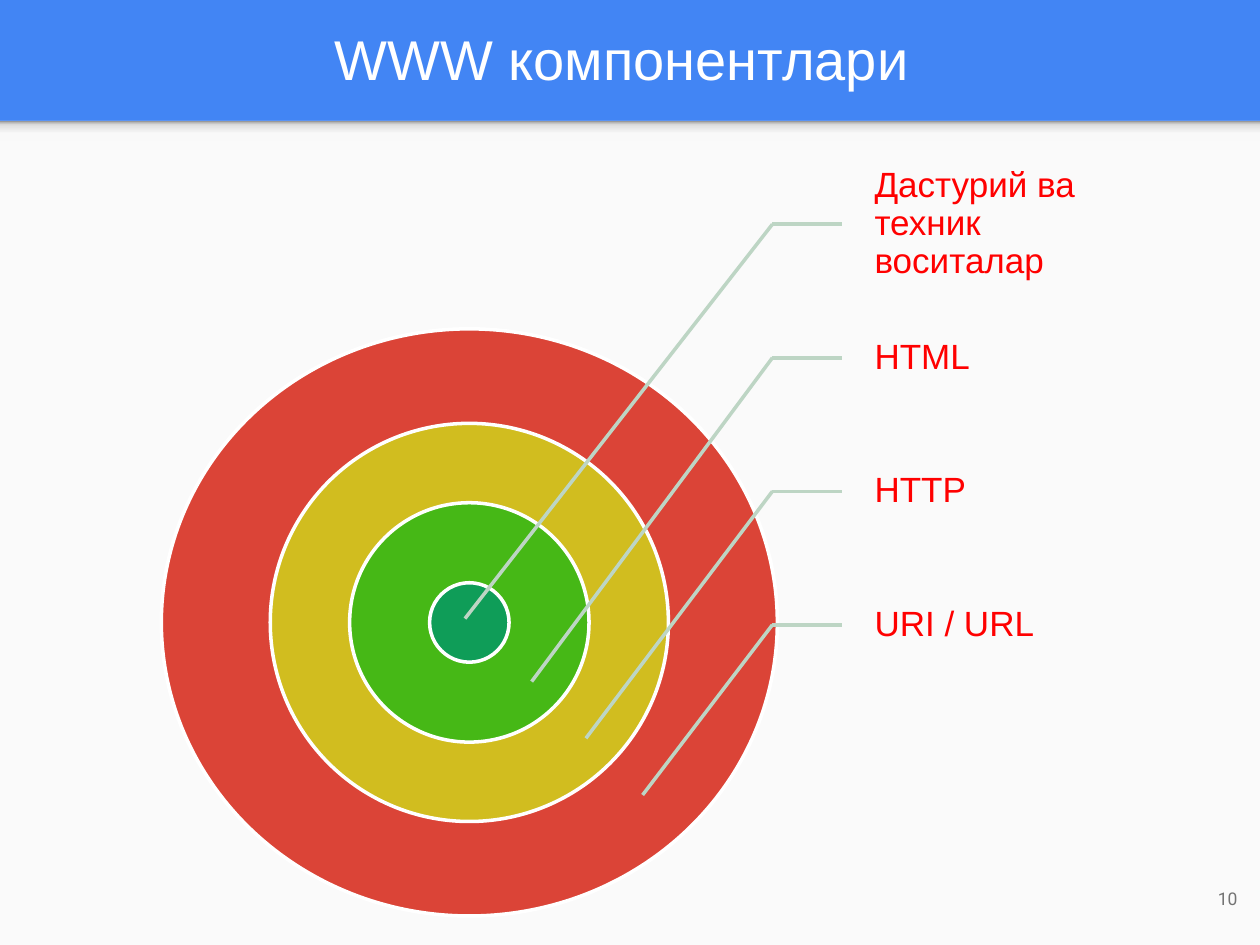
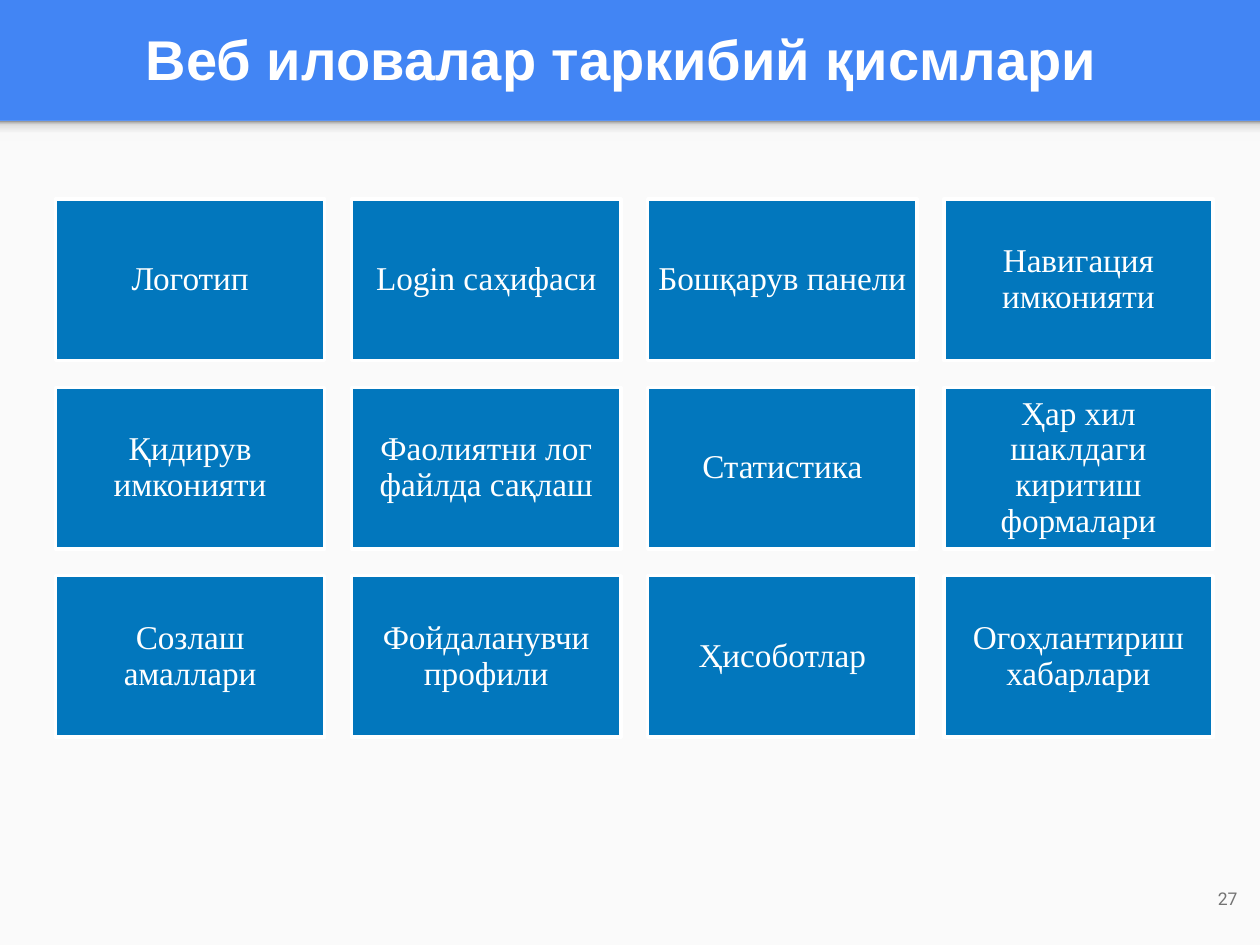
from copy import deepcopy

from lxml import etree
from pptx import Presentation
from pptx.dml.color import RGBColor
from pptx.enum.shapes import MSO_CONNECTOR, MSO_SHAPE
from pptx.enum.text import MSO_ANCHOR, MSO_AUTO_SIZE, PP_ALIGN
from pptx.oxml.ns import qn
from pptx.util import Pt

RECT = MSO_SHAPE.RECTANGLE
OVAL = MSO_SHAPE.OVAL
STRAIGHT = MSO_CONNECTOR.STRAIGHT
MIDDLE = MSO_ANCHOR.MIDDLE
NO_AUTOFIT = MSO_AUTO_SIZE.NONE
LEFT, CENTER, RIGHT = PP_ALIGN.LEFT, PP_ALIGN.CENTER, PP_ALIGN.RIGHT

COLORS = {
    "header": "4285F4", "page": "FAFAFA", "white": "FFFFFF",
    "number": "737373", "label": "FF0000", "leader": "BDD5C4",
    "uri": "DB4437", "http": "D1BD1F", "html": "46B816", "tools": "0F9D58",
    "card": "0277BD",
}
SHADE = [(0, "F9F9F9"), (0.36, "F9F9F9"), (0.8, "DEDEDE"), (1, "999999")]
PAGE_TOP = 69.1


def add_block(slide, kind, left, top, width, height, fill, outline=None):
    block = slide.shapes.add_shape(kind, Pt(left), Pt(top), Pt(width), Pt(height))
    block.shadow.inherit = False
    block.fill.solid()
    block.fill.fore_color.rgb = RGBColor.from_string(COLORS[fill])
    if outline:
        block.line.color.rgb = RGBColor.from_string(COLORS[outline])
        block.line.width = Pt(2)
    else:
        block.line.fill.background()
    return block


def write(shape, text, size, font, color, align, inset, left_inset=None, spacing=1, bold=False):
    frame = shape.text_frame
    frame.word_wrap = True
    frame.auto_size = NO_AUTOFIT
    frame.vertical_anchor = MIDDLE
    frame.margin_left = Pt(left_inset or inset)
    frame.margin_right = frame.margin_top = frame.margin_bottom = Pt(inset)
    paragraph = frame.paragraphs[0]
    paragraph.alignment = align
    paragraph.line_spacing = spacing
    run = paragraph.add_run()
    run.text = text
    run.font.size = Pt(size)
    run.font.name = font
    run.font.bold = bold
    run.font.color.rgb = RGBColor.from_string(COLORS[color])


prs = Presentation()
prs.slide_width, prs.slide_height = Pt(720), Pt(540)
master_fill = prs.slide_master.background.fill
master_fill.solid()
master_fill.fore_color.rgb = RGBColor.from_string(COLORS["header"])

slides = []
for heading, number, bold in [
    ("WWW компонентлари", "10", False),
    ("Веб иловалар таркибий қисмлари", "27", True),
]:
    slide = prs.slides.add_slide(prs.slide_layouts[5])
    slides.append(slide)
    add_block(slide, RECT, 0, PAGE_TOP, 720, 540 - PAGE_TOP, "page")

    header_shade = add_block(slide, RECT, 0, PAGE_TOP, 720, 11.5, "page")
    header_shade.fill.gradient()
    header_shade.fill.gradient_angle = 90
    stops = header_shade.element.spPr.find(qn("a:gradFill")).find(qn("a:gsLst"))
    for _ in range(len(SHADE) - len(stops)):
        stops.append(deepcopy(stops[0]))
    for stop, (position, shade) in zip(header_shade.fill.gradient_stops, SHADE):
        stop.position = position
        stop.color.rgb = RGBColor.from_string(shade)

    title = slide.shapes.title
    title.left, title.top, title.width, title.height = Pt(7.9), Pt(1.4), Pt(694.8), Pt(63.4)
    write(title, heading, 32, "Arial", "white", CENTER, 7.2, bold=bold)
    page_number = slide.shapes.add_textbox(Pt(671), Pt(493.2), Pt(43.2), Pt(41))
    write(page_number, number, 10, "Roboto", "number", RIGHT, 7.2)

components, app_parts = slides

CENTER_X, CENTER_Y = 268.2, 355.7
for ring, width, height in [
    ("uri", 352, 335.5),
    ("http", 227.5, 227.5),
    ("html", 136.8, 136.8),
    ("tools", 45.4, 45.4),
]:
    add_block(components, OVAL, CENTER_X - width / 2, CENTER_Y - height / 2,
              width, height, ring, "white")

LABEL_HEIGHT = 76.3
ELBOW_X = 441.4
for row, (label, ring_x, ring_y) in enumerate([
    ("Дастурий ва техник воситалар", 265.7, 353.5),
    ("HTML", 303.8, 389.5),
    ("HTTP", 334.8, 421.9),
    ("URI / URL", 367.2, 454.3),
]):
    label_top = 90 + row * LABEL_HEIGHT
    label_middle = label_top + LABEL_HEIGHT / 2
    caption = components.shapes.add_textbox(Pt(488.2), Pt(label_top), Pt(145.4), Pt(LABEL_HEIGHT))
    write(caption, label, 20, "Arial", "label", LEFT, 2.2, left_inset=11.5, spacing=0.9)
    for end_x, end_y in [(481, label_middle), (ring_x, ring_y)]:
        leader = components.shapes.add_connector(
            STRAIGHT, Pt(ELBOW_X), Pt(label_middle), Pt(end_x), Pt(end_y))
        leader.line.color.rgb = RGBColor.from_string(COLORS["leader"])
        leader.line.width = Pt(2)
        etree.SubElement(leader.element.spPr, qn("a:effectLst"))

PARTS = [
    "Логотип", "Login саҳифаси", "Бошқарув панели", "Навигация имконияти",
    "Қидирув имконияти", "Фаолиятни лог файлда сақлаш", "Статистика",
    "Ҳар хил шаклдаги киритиш формалари",
    "Созлаш амаллари", "Фойдаланувчи профили", "Ҳисоботлар", "Огоҳлантириш хабарлари",
]
CARD_WIDTH, CARD_HEIGHT, GAP = 153.9, 92.3, 15.3
for index, part in enumerate(PARTS):
    row, column = divmod(index, 4)
    card = add_block(app_parts, RECT, 31.7 + column * (CARD_WIDTH + GAP),
                     113.8 + row * (CARD_HEIGHT + GAP), CARD_WIDTH, CARD_HEIGHT, "card", "white")
    write(card, part, 19, "Times New Roman", "white", CENTER, 5.7, spacing=0.9)

prs.save("out.pptx")
